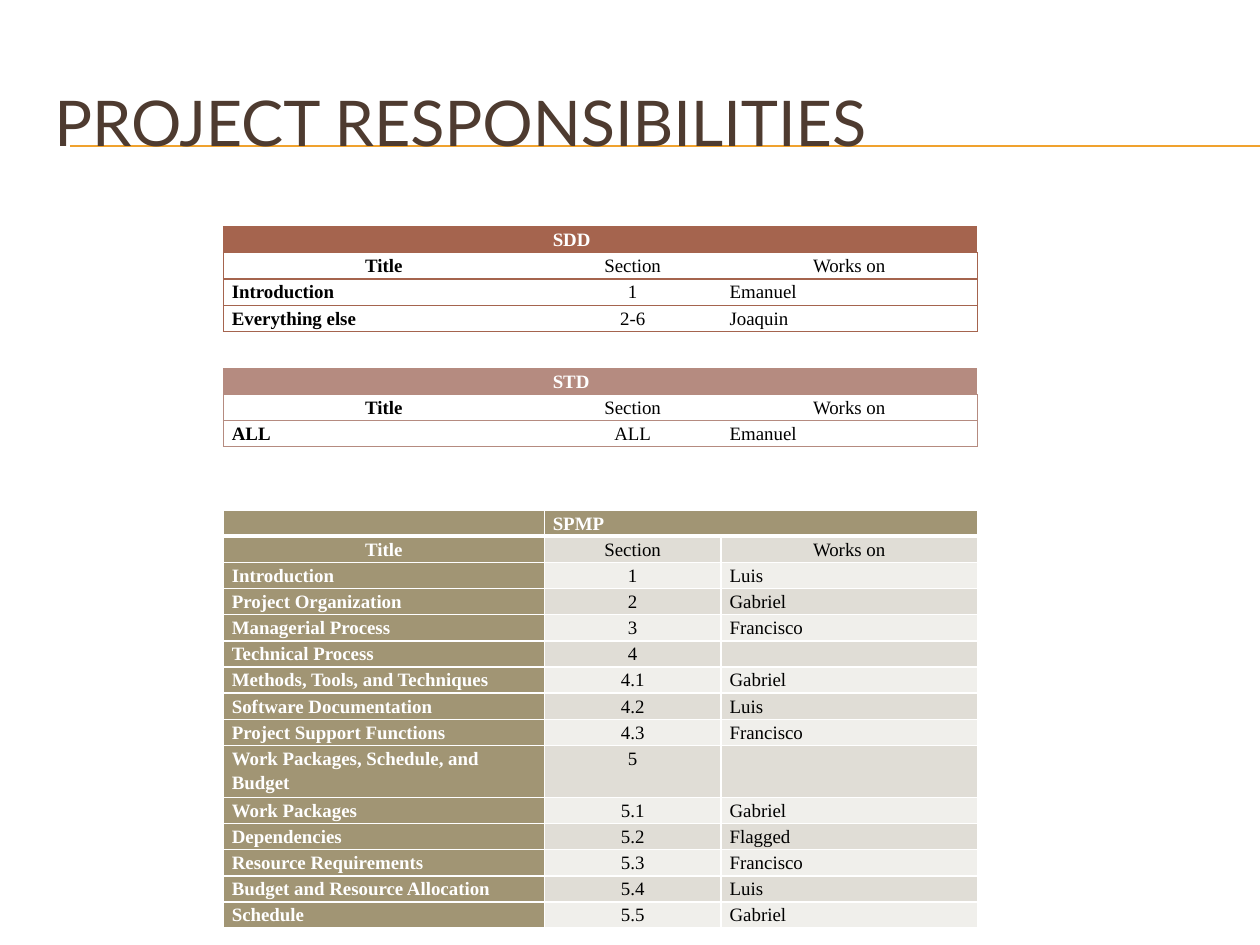
from lxml import etree
from pptx import Presentation
from pptx.dml.color import RGBColor
from pptx.enum import shapes, text
from pptx.oxml import ns
from pptx.util import Pt

WHITE = RGBColor(0xFF, 0xFF, 0xFF)
BLACK = RGBColor(0x00, 0x00, 0x00)
BROWN = RGBColor(0x4E, 0x3B, 0x30)
ORANGE = RGBColor(0xF0, 0xA2, 0x2E)
RUST = RGBColor(0xA5, 0x64, 0x4E)
ROSE = RGBColor(0xB5, 0x8B, 0x80)
OLIVE = RGBColor(0xA1, 0x95, 0x74)
BANDS = (RGBColor(0xE0, 0xDD, 0xD6), RGBColor(0xF0, 0xEF, 0xEB))

LEFT = 141.8
COLUMNS = (203.8, 112.3, 162.7)
ROW_HEIGHT = 15.3
HEADINGS = ("Title", "Section", "Works on")

SDD = [("Introduction", "1", "Emanuel"), ("Everything else", "2-6", "Joaquin")]
STD = [("ALL", "ALL", "Emanuel")]
SPMP = [
    ("Introduction", "1", "Luis"),
    ("Project Organization", "2", "Gabriel"),
    ("Managerial Process", "3", "Francisco"),
    ("Technical Process", "4", ""),
    ("Methods, Tools, and Techniques", "4.1", "Gabriel"),
    ("Software Documentation", "4.2", "Luis"),
    ("Project Support Functions", "4.3", "Francisco"),
    ("Work Packages, Schedule, and Budget", "5", ""),
    ("Work Packages", "5.1", "Gabriel"),
    ("Dependencies", "5.2", "Flagged"),
    ("Resource Requirements", "5.3", "Francisco"),
    ("Budget and Resource Allocation", "5.4", "Luis"),
    ("Schedule", "5.5", "Gabriel"),
]


def add_rule(s, y):
    c = s.shapes.add_connector(
        shapes.MSO_CONNECTOR.STRAIGHT, Pt(44.6), Pt(y), Pt(800), Pt(y))
    c.line.color.rgb = ORANGE
    c.line.width = Pt(0.75)
    etree.SubElement(c._element.spPr, ns.qn("a:effectLst"))


def add_title(s, title):
    sp = s.shapes.add_textbox(Pt(26.6), Pt(40.3), Pt(760.3), Pt(73.4))
    tf = sp.text_frame
    tf.word_wrap = True
    tf.vertical_anchor = text.MSO_ANCHOR.MIDDLE
    tf.margin_left = tf.margin_right = Pt(8)
    tf.margin_top = tf.margin_bottom = Pt(4)
    p = tf.paragraphs[0]
    p.text = title
    p.font.name = "Lato"
    p.font.size = Pt(40)
    p.font.color.rgb = BROWN


def set_border(cell, side, color, width):
    """Draw one side (L, R, T or B) of a cell, or hide it if color is None."""
    ln = etree.SubElement(cell._tc.get_or_add_tcPr(), ns.qn(f"a:ln{side}"))
    if color is None:
        etree.SubElement(ln, ns.qn("a:noFill"))
        return
    ln.set("w", str(Pt(width)))
    fill = etree.SubElement(ln, ns.qn("a:solidFill"))
    etree.SubElement(fill, ns.qn("a:srgbClr"), val=str(color))


def set_fill(cell, color):
    if color is None:
        cell.fill.background()
    else:
        cell.fill.solid()
        cell.fill.fore_color.rgb = color


def set_text(cell, words, color, bold, centred):
    cell.margin_left = cell.margin_right = Pt(5.4)
    cell.margin_top = cell.margin_bottom = 0
    p = cell.text_frame.paragraphs[0]
    p.line_spacing = 1.15
    p.alignment = text.PP_ALIGN.CENTER if centred else text.PP_ALIGN.LEFT
    p.font.name = "Times New Roman"
    p.font.size = Pt(12)
    p.font.bold = bold
    p.font.color.rgb = color
    if words:
        p.text = words
    else:
        etree.SubElement(p._p, ns.qn("a:endParaRPr"), sz="1200")


def outlined_borders(color, col):
    """Row lines and outer frame, without lines between columns."""
    return {"L": (color if col == 0 else None, 0.79),
            "R": (color if col == 2 else None, 0.79),
            "T": (color, 0.79), "B": (color, 0.79)}


def banded_borders(row):
    """White grid with a heavier line under the table's name."""
    return {"L": (WHITE, 1), "R": (WHITE, 1),
            "T": (WHITE, 3 if row == 1 else 1),
            "B": (WHITE, 3 if row == 0 else 1)}


def add_duties(s, top, name, color, duties, banded=False):
    rows = [("", name, ""), HEADINGS, *duties]
    frame = s.shapes.add_table(
        len(rows), len(COLUMNS), Pt(LEFT), Pt(top),
        Pt(sum(COLUMNS)), Pt(ROW_HEIGHT * len(rows)))
    tbl = frame.table
    tbl.first_row = tbl.horz_banding = False
    for column, width in zip(tbl.columns, COLUMNS):
        column.width = Pt(width)
    for i, row in enumerate(rows):
        tbl.rows[i].height = Pt(ROW_HEIGHT)
        for j, words in enumerate(row):
            cell = tbl.cell(i, j)
            borders = banded_borders(i) if banded else outlined_borders(color, j)
            for side, (line, width) in borders.items():
                set_border(cell, side, line, width)
            solid = i == 0 or (banded and j == 0)
            band = BANDS[(i - 1) % 2] if banded else None
            set_fill(cell, color if solid else band)
            set_text(cell, words, WHITE if solid else BLACK,
                     bold=i == 0 or j == 0,
                     centred=i == 1 or (i > 1 and j == 1))
    tbl.cell(0, 1).merge(tbl.cell(0, 2))


def main():
    prs = Presentation()
    prs.slide_width, prs.slide_height = Pt(800), Pt(600)
    s = prs.slides.add_slide(prs.slide_layouts[6])
    for y in (92.2, 92.9):
        add_rule(s, y)
    add_title(s, "PROJECT RESPONSIBILITIES")
    add_duties(s, 144, "SDD", RUST, SDD)
    add_duties(s, 234, "STD", ROSE, STD)
    add_duties(s, 324, "SPMP", OLIVE, SPMP, banded=True)
    prs.save("out.pptx")


if __name__ == "__main__":
    main()
